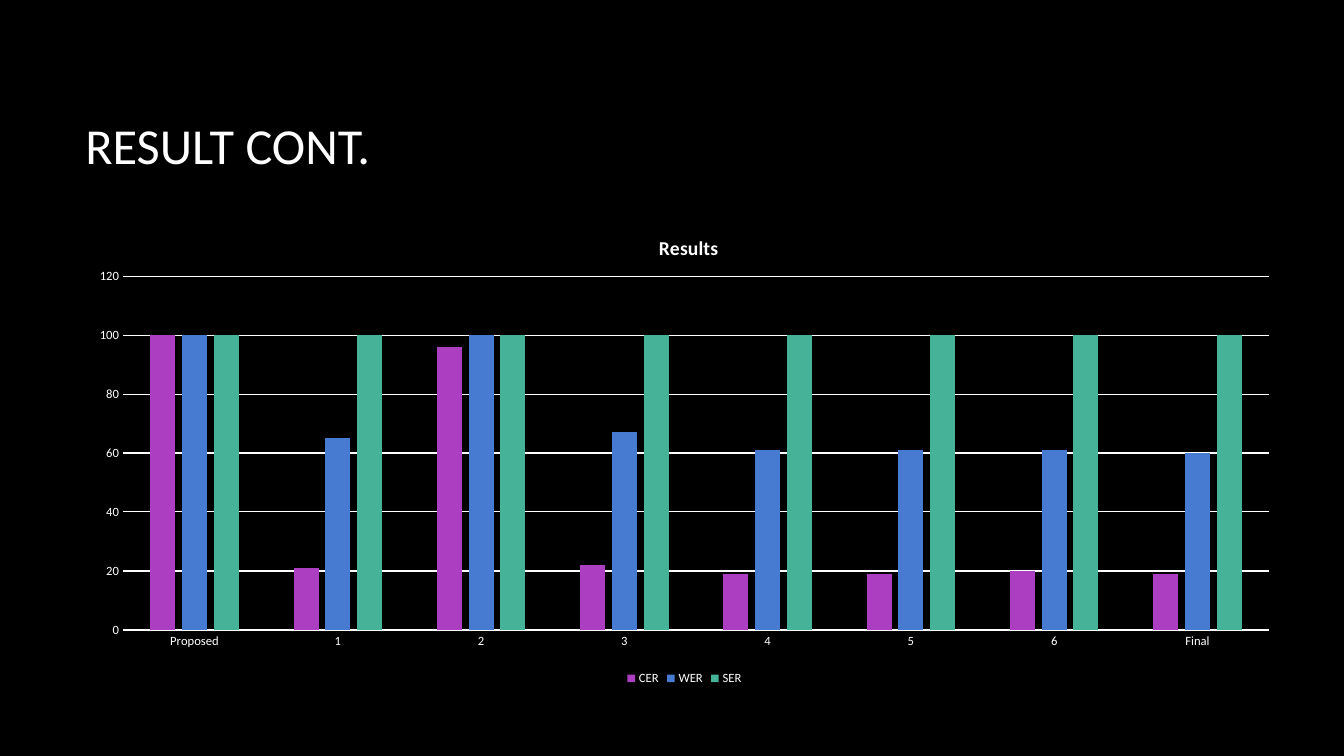
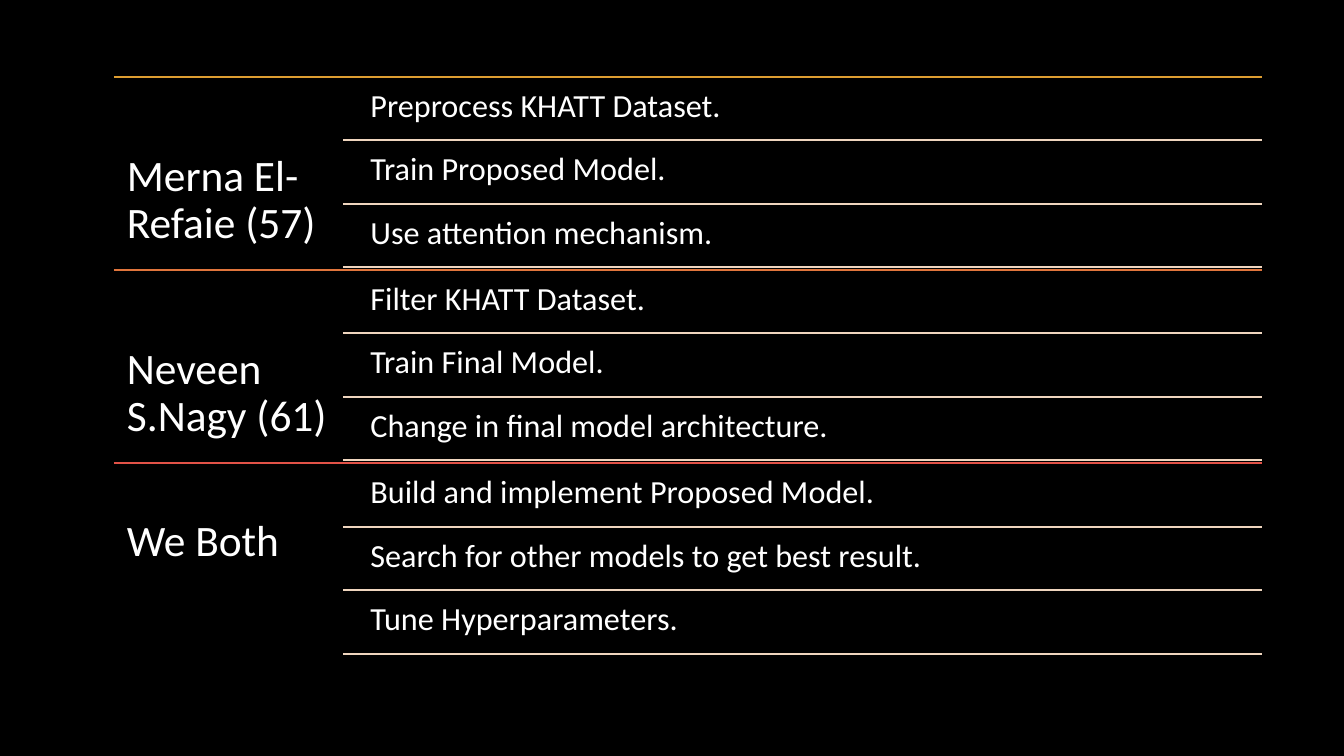
from lxml import etree
from pptx import Presentation
from pptx import util as u
from pptx.chart.data import CategoryChartData
from pptx.dml.color import RGBColor
from pptx.enum import chart as charts, shapes, text
from pptx.oxml import ns

FONT = "Calibri"
COLORS = {
    "background": "000000",
    "text": "FFFFFF",
    "cer": "AC3EC1",
    "wer": "477BD1",
    "ser": "46B298",
    "first": "DD9D31",
    "second": "E0753C",
    "third": "E25247",
    "task_rule": "EFD5BE",
}
CATEGORIES = ["Proposed", "1", "2", "3", "4", "5", "6", "Final"]
SERIES = [
    ("CER", "cer", [100, 21, 96, 22, 19, 19, 20, 19]),
    ("WER", "wer", [100, 65, 100, 67, 61, 61, 61, 60]),
    ("SER", "ser", [100] * 8),
]
MEMBERS = [
    ("Merna El-Refaie (57)", "first",
     ["Preprocess KHATT Dataset.", "Train Proposed Model.", "Use attention mechanism."]),
    ("Neveen S.Nagy (61)", "second",
     ["Filter KHATT Dataset.", "Train Final Model.", "Change in final model architecture."]),
    ("We Both", "third",
     ["Build and implement Proposed Model.", "Search for other models to get best result.",
      "Tune Hyperparameters."]),
]


def color(name):
    """Return the named colour."""
    return RGBColor.from_string(COLORS[name])


def style_font(font, size, bold=False):
    """Give a font the shared face and colour."""
    font.name = FONT
    font.size = u.Pt(size)
    font.bold = bold
    font.color.rgb = color("text")


def style_line(line, name, width):
    """Set the colour and width of a line."""
    line.color.rgb = color(name)
    line.width = u.Pt(width)


def add_text(slide, content, left, top, width, height, size=23, inset=0.25,
             top_inset=None, spacing=0.9, anchor=text.MSO_ANCHOR.TOP):
    """Add a wrapped text box; lengths are in centimetres."""
    box = slide.shapes.add_textbox(u.Cm(left), u.Cm(top), u.Cm(width), u.Cm(height))
    frame = box.text_frame
    frame.word_wrap = True
    frame.vertical_anchor = anchor
    frame.margin_left = frame.margin_right = frame.margin_bottom = u.Cm(inset)
    frame.margin_top = u.Cm(inset if top_inset is None else top_inset)
    paragraph = frame.paragraphs[0]
    paragraph.line_spacing = spacing
    run = paragraph.add_run()
    run.text = content
    style_font(run.font, size)


def add_rule(slide, left, right, top, name):
    """Add a flat horizontal line."""
    rule = slide.shapes.add_connector(
        shapes.MSO_CONNECTOR.STRAIGHT, u.Cm(left), u.Cm(top), u.Cm(right), u.Cm(top))
    style_line(rule.line, name, 1.5)
    etree.SubElement(rule._element.spPr, ns.qn("a:effectLst"))


def place(element, **settings):
    """Write a manual layout into a chart title or plot area."""
    for old in element.findall(ns.qn("c:layout")):
        element.remove(old)
    layout = etree.Element(ns.qn("c:layout"))
    manual = etree.SubElement(layout, ns.qn("c:manualLayout"))
    for tag, value in settings.items():
        etree.SubElement(manual, ns.qn(f"c:{tag}")).set("val", str(value))
    index = 1 if element.tag == ns.qn("c:title") else 0
    element.insert(index, layout)


def style_axes(chart):
    """Format both axes and the gridlines."""
    for axis in (chart.category_axis, chart.value_axis):
        axis.major_tick_mark = axis.minor_tick_mark = charts.XL_TICK_MARK.NONE
        style_font(axis.tick_labels.font, 9)
    style_line(chart.category_axis.format.line, "text", 0.75)
    chart.value_axis.format.line.fill.background()
    chart.value_axis.minimum_scale = 0
    chart.value_axis.maximum_scale = 120
    chart.value_axis.major_unit = 20
    chart.value_axis.has_major_gridlines = True
    style_line(chart.value_axis.major_gridlines.format.line, "text", 0.75)


def add_results_chart(slide, left, top, width, height):
    """Add the clustered columns of error rates."""
    data = CategoryChartData()
    data.categories = CATEGORIES
    for name, _, values in SERIES:
        data.add_series(name, values)
    chart = slide.shapes.add_chart(
        charts.XL_CHART_TYPE.COLUMN_CLUSTERED,
        u.Cm(left), u.Cm(top), u.Cm(width), u.Cm(height), data).chart
    style_font(chart.font, 10)
    chart.has_title = True
    title = chart.chart_title
    title.text_frame.text = "Results"
    style_font(title.text_frame.paragraphs[0].runs[0].font, 14, bold=True)
    title.include_in_layout = False
    place(title._element, xMode="edge", yMode="edge", x=0.476, y=0.045)
    place(chart._chartSpace.chart.plotArea, layoutTarget="inner", xMode="edge",
          yMode="edge", x=0.039, y=0.14, w=0.941, h=0.736)
    chart.has_legend = True
    chart.legend.position = charts.XL_LEGEND_POSITION.BOTTOM
    chart.legend.include_in_layout = False
    style_font(chart.legend.font, 9)
    style_axes(chart)
    plot = chart.plots[0]
    plot.gap_width = 219
    plot.overlap = -27
    plot.vary_by_categories = False
    for series, (_, name, _) in zip(plot.series, SERIES):
        series.format.fill.solid()
        series.format.fill.fore_color.rgb = color(name)


def add_member(slide, member, left, top, width, height):
    """Add one member with a ruled list of tasks."""
    name, rule_color, tasks = member
    right = left + width
    name_width = 0.2 * width
    task_height = 1.6
    add_rule(slide, left, right, top, rule_color)
    add_text(slide, name, left, top, name_width, height, size=31, inset=0.33, top_inset=1.95)
    task_left = left + name_width
    for index, task in enumerate(tasks):
        task_top = top + index * task_height
        add_text(slide, task, task_left + 0.43, task_top + 0.07,
                 right - task_left - 0.43, task_height - 0.07)
        add_rule(slide, task_left, right, task_top + task_height, "task_rule")


def build_results(slide):
    """Build the slide with the results chart."""
    add_text(slide, "RESULT CONT.", 1.9, 1.7, 28.15, 4.05, size=36,
             anchor=text.MSO_ANCHOR.MIDDLE)
    add_results_chart(slide, 1.9, 5.26, 30.7, 12.12)


def build_members(slide, left=2.87, top=1.93, width=28.93, pitch=4.87):
    """Build the slide that lists who did what."""
    for index, member in enumerate(MEMBERS):
        add_member(slide, member, left, top + index * pitch, width, pitch)


def main():
    """Build and save the presentation."""
    presentation = Presentation()
    presentation.slide_width = u.Cm(33.87)
    presentation.slide_height = u.Cm(19.05)
    background = presentation.slide_master.background.fill
    background.solid()
    background.fore_color.rgb = color("background")
    for build in (build_results, build_members):
        build(presentation.slides.add_slide(presentation.slide_layouts[6]))
    presentation.save("out.pptx")


if __name__ == "__main__":
    main()
